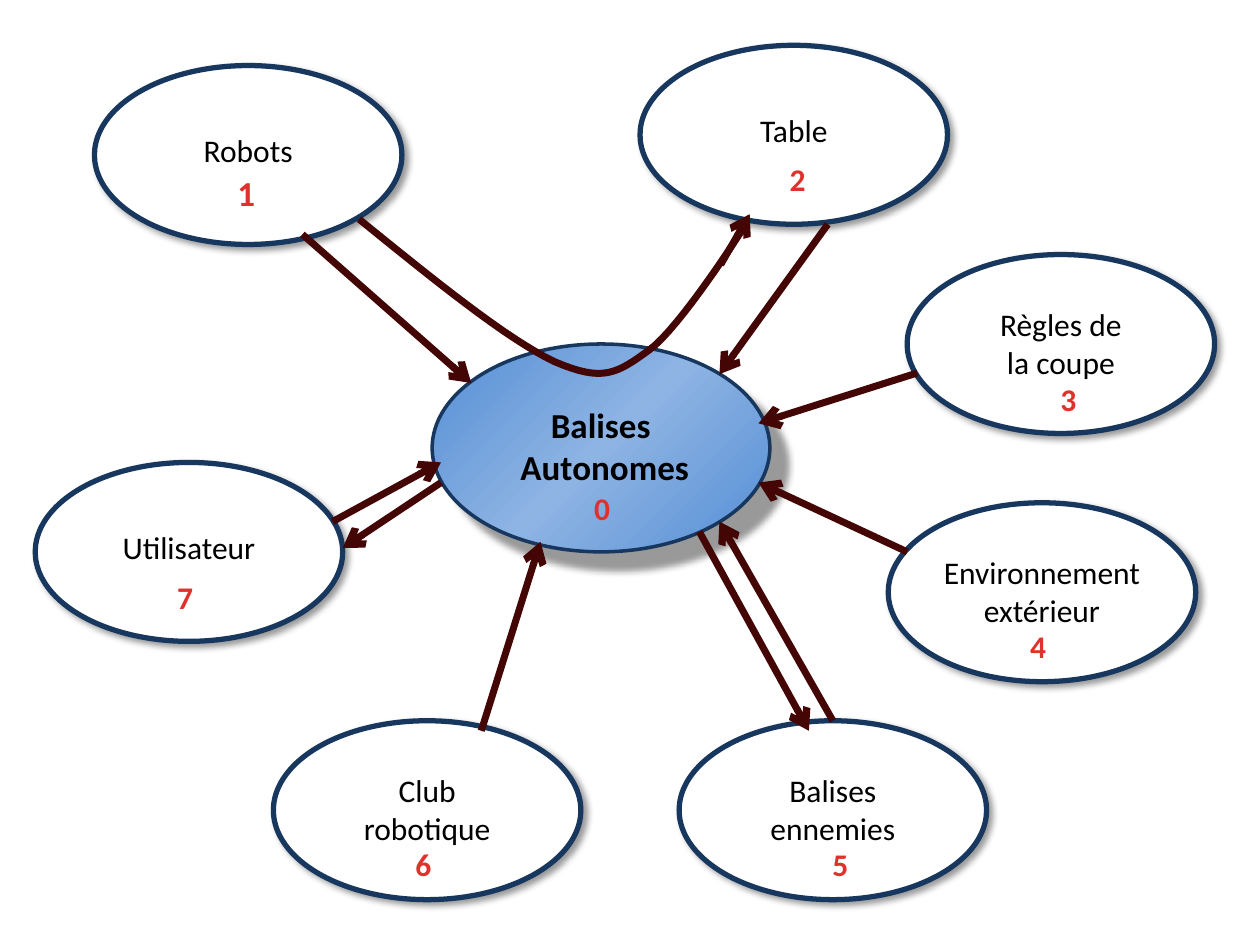
from copy import deepcopy
from lxml import etree
from pptx import Presentation
from pptx.dml.color import RGBColor
from pptx.enum.shapes import MSO_CONNECTOR, MSO_SHAPE
from pptx.enum.text import PP_ALIGN
from pptx.oxml.ns import qn
from pptx.util import Inches, Pt

OVAL = MSO_SHAPE.OVAL
STRAIGHT = MSO_CONNECTOR.STRAIGHT
CENTER = PP_ALIGN.CENTER
COLORS = {name: RGBColor.from_string(value) for name, value in {
    "outline": "17375E", "arrow": "430605", "number": "E0322D",
    "white": "FFFFFF", "black": "000000",
    "edge": "558ED5", "middle": "8EB4E3"}.items()}

prs = Presentation()
prs.slide_width, prs.slide_height = Inches(10), Inches(7.5)
slide = prs.slides.add_slide(prs.slide_layouts[6])
shapes = slide.shapes


def add_oval(left, top, width, height, line_width, shadow_distance):
    oval = shapes.add_shape(OVAL, Inches(left), Inches(top), Inches(width), Inches(height))
    oval.fill.solid()
    oval.fill.fore_color.rgb = COLORS["white"]
    oval.line.color.rgb = COLORS["outline"]
    oval.line.width = Pt(line_width)
    oval.shadow.inherit = False
    effects = oval._element.spPr.find(qn("a:effectLst"))
    shadow = etree.SubElement(effects, qn("a:outerShdw"), blurRad=str(Pt(4)),
                              dist=str(Pt(shadow_distance)), dir="2700000",
                              algn="tl", rotWithShape="0")
    tone = etree.SubElement(shadow, qn("a:srgbClr"), val="000000")
    etree.SubElement(tone, qn("a:alpha"), val="40000")
    return oval


def add_text(left, top, width, height, lines, size, color, bold=False, wrap=True):
    box = shapes.add_textbox(Inches(left), Inches(top), Inches(width), Inches(height))
    frame = box.text_frame
    frame.word_wrap = wrap
    frame.text = "\n".join(lines)
    for paragraph in frame.paragraphs:
        paragraph.alignment = CENTER
        paragraph.font.name = "Calibri"
        paragraph.font.size = Pt(size)
        paragraph.font.bold = bold
        paragraph.font.color.rgb = COLORS[color]


system = add_oval(3.43, 2.73, 2.68, 1.65, 2, 14)
system.fill.gradient()
system.fill.gradient_angle = 315
stops = system._element.spPr.find(".//" + qn("a:gsLst"))
stops.append(deepcopy(stops[-1]))
for stop, position, color in zip(system.fill.gradient_stops, (0, 0.5, 1),
                                 ("edge", "middle", "edge")):
    stop.position = position
    stop.color.rgb = COLORS[color]
add_text(3.58, 3.15, 2.44, 0.77, ["Balises ", "Autonomes"], 20, "black", bold=True)

actors = [
    (0.75, 0.52, ["Robots"], 0.47),
    (5.08, 0.36, ["Table"], 0.47),
    (7.2, 2.02, ["Règles de", "la coupe"], 0.35),
    (0.28, 3.67, ["Utilisateur"], 0.47),
    (7.05, 3.99, ["Environnement extérieur"], 0.35),
    (5.39, 5.72, ["Balises", "ennemies"], 0.35),
    (2.17, 5.72, ["Club", "robotique"], 0.35),
]
for left, top, label, offset in actors:
    add_oval(left, top, 2.44, 1.42, 3, 3)
    add_text(left, top + offset, 2.44, 1.42 - 2 * offset, label, 18, "black")

curve = [(2.85, 1.74), (3.43, 2.21), (4.02, 2.69), (4.4, 2.87), (4.79, 3.04),
         (4.9, 2.96), (5.15, 2.78), (5.4, 2.6), (5.9, 1.81), (5.9, 1.81)]
STEPS = 16
points = [tuple(Inches(value) for value in curve[0])]
for start in range(0, len(curve) - 1, 3):
    controls = curve[start:start + 4]
    for step in range(1, STEPS + 1):
        t = step / STEPS
        weights = ((1 - t) ** 3, 3 * t * (1 - t) ** 2, 3 * t ** 2 * (1 - t), t ** 3)
        points.append(tuple(Inches(sum(w * p[axis] for w, p in zip(weights, controls)))
                            for axis in (0, 1)))
builder = shapes.build_freeform(*points[0])
builder.add_line_segments(points[1:], close=False)
robots_to_table = builder.convert_to_shape()
robots_to_table.fill.background()
robots_to_table.shadow.inherit = False
robots_to_table.line.color.rgb = COLORS["arrow"]
robots_to_table.line.width = Pt(4)

flows = [
    (2.4, 1.86, 3.74, 3.04), (6.57, 1.78, 5.71, 2.97),
    (2.64, 4.14, 3.5, 3.67), (3.5, 3.83, 2.72, 4.35),
    (3.82, 5.8, 4.29, 4.3), (6.61, 5.72, 5.71, 4.14),
    (5.55, 4.22, 6.42, 5.8), (7.28, 2.96, 6.02, 3.36),
    (7.2, 4.38, 6.02, 3.83), (5.72, 2.1, 5.95, 1.7),
]
for flow in flows:
    arrow = shapes.add_connector(STRAIGHT, *(Inches(value) for value in flow))
    arrow.line.color.rgb = COLORS["arrow"]
    arrow.line.width = Pt(4)
    etree.SubElement(arrow.line._get_or_add_ln(), qn("a:tailEnd"), type="arrow")
    etree.SubElement(arrow._element.spPr, qn("a:effectLst"))

add_text(1.61, 1.31, 0.69, 0.44, ["1"], 20, "number", bold=True)
numbers = [("2", 6.16, 1.22), ("3", 8.31, 2.97), ("4", 8.07, 4.93), ("5", 6.5, 6.66),
           ("6", 3.19, 6.66), ("7", 1.3, 4.54), ("0", 4.61, 3.83)]
for number, left, top in numbers:
    add_text(left, top, 0.34, 0.4, [number], 18, "number", bold=True, wrap=False)

prs.save("out.pptx")
